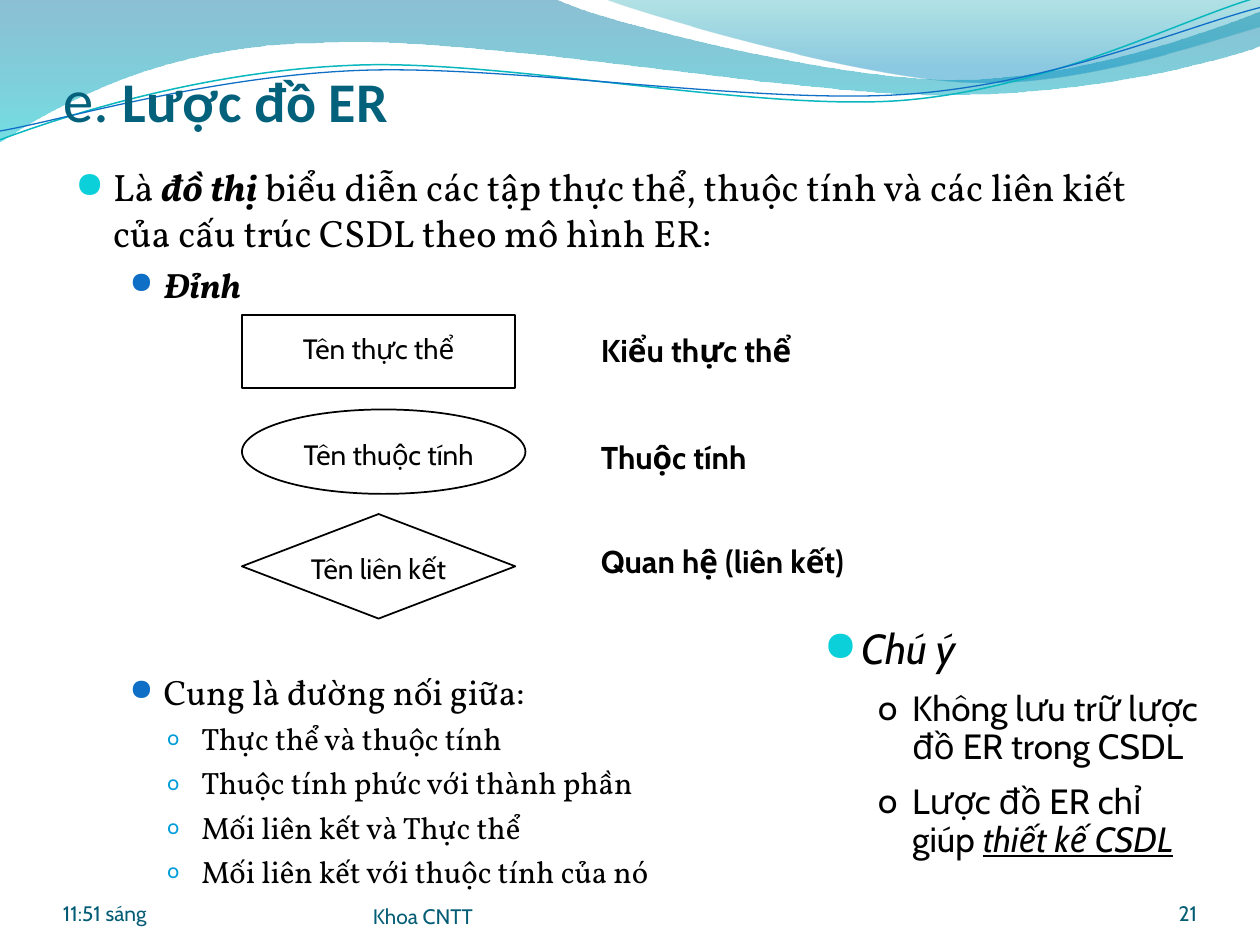
from lxml import etree
from pptx import Presentation
from pptx.dml.color import RGBColor
from pptx.enum import shapes, text
from pptx.oxml.ns import qn
from pptx.util import Inches, Pt

BLACK = RGBColor(0x00, 0x00, 0x00)
TITLE = RGBColor(0x04, 0x61, 0x7B)
FOOTER = RGBColor(0x04, 0x5D, 0x75)
CYAN = RGBColor(0x0B, 0xD0, 0xD9)
BLUE = RGBColor(0x0F, 0x6F, 0xC6)
SKY = RGBColor(0x00, 0x9D, 0xD9)
TEAL = RGBColor(0x09, 0xB7, 0xBF)
WAVE_TOP = RGBColor(0x00, 0x74, 0xA0)
WAVE_BOTTOM = RGBColor(0x00, 0xC4, 0xCD)
CREST_TOP = RGBColor(0x00, 0xA0, 0xA8)
CREST_BOTTOM = RGBColor(0x00, 0x8A, 0xBF)

# Outlines: a pair is a corner, six numbers are a Bezier segment.
# Gradient stops: position, colour, opacity in percent.
BANDS = [
    ([(0, -0.01), (4.4, -0.01), (4.76, 0.17, 6.64, 0.63, 7.58, 0.63),
      (8.53, 0.63, 9.58, 0.26, 10, 0.09), (10.01, 0.36),
      (9.83, 0.44, 8.7, 0.76, 7.46, 0.75), (6.22, 0.75, 3.82, 0.28, 2.57, 0.34),
      (1.29, 0.35, 0.46, 0.83, -0.01, 1.13), (0, -0.01)],
     [(0, WAVE_TOP, 45), (1, WAVE_BOTTOM, 55)]),
    ([(4.79, -0.01), (5.09, 0.11, 6.82, 0.62, 7.69, 0.65),
      (8.56, 0.69, 9.61, 0.32, 10, 0.21), (10, 0), (4.79, -0.01)],
     [(0, CREST_TOP, 30), (0.8, CREST_BOTTOM, 45)]),
]
WAVES = [
    ([(0, 1.11), (0.48, 0.93, 1.58, 0.57, 2.77, 0.52), (3.95, 0.46, 5.93, 0.88, 7.13, 0.8),
      (8.33, 0.71, 9.38, 0.15, 9.98, -0.02)], TEAL, 0.85),
    ([(0, 1.04), (0.47, 0.96, 1.64, 0.61, 2.83, 0.56), (4.03, 0.51, 5.97, 0.83, 7.17, 0.75),
      (8.36, 0.67, 9.41, 0.21, 10, 0.06)], BLUE, 0.75),
]

# Bullet styles: level, left, hanging, character, font, colour, size %, space before
POINT = (0, 0.3, 0.3, "●", "OpenSymbol", CYAN, 95, 0)
SUB = (1, 0.7, 0.27, "●", "OpenSymbol", BLUE, 85, 4.8)
ITEM = (2, 1, 0.27, "o", "Cabin", SKY, 70, 4.2)
NOTE = (0, 0.3, 0.3, "●", "OpenSymbol", CYAN, 100, 0)
NOTE_SUB = (1, 0.7, 0.27, "o", "Cabin", BLACK, 100, 10)

# Lists: box, font, line spacing, paragraphs of (style, size, runs of (text, marks))
LISTS = [
    ((0.5, 1.25, 9, 1.25), "Vollkorn", 1.0, [
        (POINT, 21.8, [("Là ", ""), ("đồ thị", "bi"),
                       (" biểu diễn các tập thực thể, thuộc tính và các liên kiết "
                        "của cấu trúc CSDL theo mô hình ER:", "")]),
        (SUB, 20.1, [("Đỉnh", "bi")])]),
    ((0.5, 5.27, 5.8, 1.85), "Vollkorn", 1.0, [
        (SUB, 20.1, [("Cung là đường nối giữa:", "")]),
        (ITEM, 17.6, [("Thực thể và thuộc tính", "")]),
        (ITEM, 17.6, [("Thuộc tính phức với thành phần", "")]),
        (ITEM, 17.6, [("Mối liên kết và Thực thể", "")]),
        (ITEM, 17.6, [("Mối liên kết với thuộc tính của nó", "")])]),
    ((6.44, 4.94, 3.21, 2.24), "Cabin", 0.9, [
        (NOTE, 24, [("Chú ý", "i")]),
        (NOTE_SUB, 20, [("Không lưu trữ lược đồ ER trong CSDL", "")]),
        (NOTE_SUB, 20, [("Lược đồ ER chỉ giúp ", ""), ("thiết kế CSDL", "iu")])]),
]

# Symbols: preset, box, name, name left and top, meaning, meaning top and width
SYMBOLS = [
    (shapes.MSO_SHAPE.RECTANGLE, (1.92, 2.5, 2.17, 0.58),
     "Tên thực thể", 1.92, 2.58, "Kiểu thực thể", 2.58, 2.08),
    (shapes.MSO_SHAPE.OVAL, (1.92, 3.25, 2.25, 0.67),
     "Tên thuộc tính", 2, 3.42, "Thuộc tính", 3.43, 2.08),
    (shapes.MSO_SHAPE.FLOWCHART_DECISION, (1.92, 4.08, 2.17, 0.83),
     "Tên liên kết", 1.92, 4.33, "Quan hệ (liên kết)", 4.25, 2.62),
]
LEFT, CENTER, RIGHT = text.PP_ALIGN.LEFT, text.PP_ALIGN.CENTER, text.PP_ALIGN.RIGHT
FOOTERS = [
    ((0.5, 6.95, 2.33, 0.4), "11:51 sáng", LEFT),
    ((2.96, 6.97, 3.67, 0.4), "Khoa CNTT", LEFT),
    ((8.67, 6.95, 0.83, 0.4), "21", RIGHT),
]


def add_outline(slide, outline, close):
    """Build a freeform through the end points, then bend its Bezier segments."""
    ends = [(Inches(part[-2]), Inches(part[-1])) for part in outline]
    builder = slide.shapes.build_freeform(*ends[0], scale=1.0)
    builder.add_line_segments(ends[1:], close=close)
    s = builder.convert_to_shape()
    s.shadow.inherit = False
    for line, part in zip(list(s.element.iter(qn("a:lnTo"))), outline[1:]):
        if len(part) == 6:
            line.tag = qn("a:cubicBezTo")
            controls = [(part[0], part[1]), (part[2], part[3])]
            for i, (x, y) in enumerate(controls):
                pt = etree.Element(qn("a:pt"), x=str(Inches(x) - s.left),
                                   y=str(Inches(y) - s.top))
                line.insert(i, pt)
    return s


def fill_gradient(s, stops):
    s.fill.gradient()
    s.fill.gradient_angle = 270
    for stop, (position, color, _) in zip(s.fill.gradient_stops, stops):
        stop.position = position
        stop.color.rgb = color
    for clr, (_, _, opacity) in zip(s.element.iter(qn("a:srgbClr")), stops):
        etree.SubElement(clr, qn("a:alpha"), val=str(opacity * 1000))


def add_text_frame(slide, box, insets=(0.1, 0.05, 0.1, 0.05), anchor=text.MSO_ANCHOR.TOP):
    tf = slide.shapes.add_textbox(*map(Inches, box)).text_frame
    tf.word_wrap = True
    tf.vertical_anchor = anchor
    tf.margin_left, tf.margin_top, tf.margin_right, tf.margin_bottom = map(Inches, insets)
    return tf


def add_run(p, words, font, size, color=BLACK, marks=""):
    r = p.add_run()
    r.text = words
    r.font.name, r.font.size, r.font.color.rgb = font, Pt(size), color
    r.font.bold, r.font.italic, r.font.underline = (m in marks for m in "biu")


def set_bullet(p, level, left, hanging, char, font, color, percent, before):
    p.level = level
    pPr = p._p.get_or_add_pPr()
    pPr.set("marL", str(Inches(left)))
    pPr.set("indent", str(-Inches(hanging)))
    clr = etree.SubElement(pPr, qn("a:buClr"))
    etree.SubElement(clr, qn("a:srgbClr"), val=str(color))
    etree.SubElement(pPr, qn("a:buSzPct"), val=str(percent * 1000))
    etree.SubElement(pPr, qn("a:buFont"), typeface=font)
    etree.SubElement(pPr, qn("a:buChar"), char=char)
    p.space_before = Pt(before)


def add_list(slide, box, font, spacing, paragraphs):
    tf = add_text_frame(slide, box)
    for i, (style, size, runs) in enumerate(paragraphs):
        p = tf.add_paragraph() if i else tf.paragraphs[0]
        set_bullet(p, *style)
        if i == 0:
            p.space_before = Pt(0)
        p.line_spacing = spacing
        for words, marks in runs:
            add_run(p, words, font, size, marks=marks)


def main():
    prs = Presentation()
    prs.slide_width, prs.slide_height = Inches(10), Inches(7.5)
    slide = prs.slides.add_slide(prs.slide_layouts[6])

    for outline, stops in BANDS:
        s = add_outline(slide, outline, True)
        fill_gradient(s, stops)
        s.line.fill.background()
    for outline, color, width in WAVES:
        s = add_outline(slide, outline, False)
        s.fill.background()
        s.line.color.rgb, s.line.width = color, Pt(width)

    p = add_text_frame(slide, (0.5, 0.39, 9, 0.68), (0, 0.05, 0, 0),
                       text.MSO_ANCHOR.BOTTOM).paragraphs[0]
    add_run(p, "e. ", "Calibri", 35, TITLE)
    add_run(p, "Lược đồ ER", "Calibri", 32, TITLE, "b")

    for preset, box, name, name_left, name_top, meaning, meaning_top, width in SYMBOLS:
        s = slide.shapes.add_shape(preset, *map(Inches, box))
        s.shadow.inherit = False
        s.fill.background()
        s.line.color.rgb, s.line.width = BLACK, Pt(1)
        p = add_text_frame(slide, (name_left, name_top, 2.17, 0.36)).paragraphs[0]
        p.alignment = CENTER
        add_run(p, name, "Cabin", 16)
        p = add_text_frame(slide, (4.67, meaning_top, width, 0.4)).paragraphs[0]
        add_run(p, meaning, "Cabin", 18, marks="b")

    for content in LISTS:
        add_list(slide, *content)
    for box, words, align in FOOTERS:
        p = add_text_frame(slide, box, (0, 0, 0, 0), text.MSO_ANCHOR.BOTTOM).paragraphs[0]
        p.alignment = align
        add_run(p, words, "Cabin", 12, FOOTER)
    prs.save("out.pptx")


if __name__ == "__main__":
    main()
